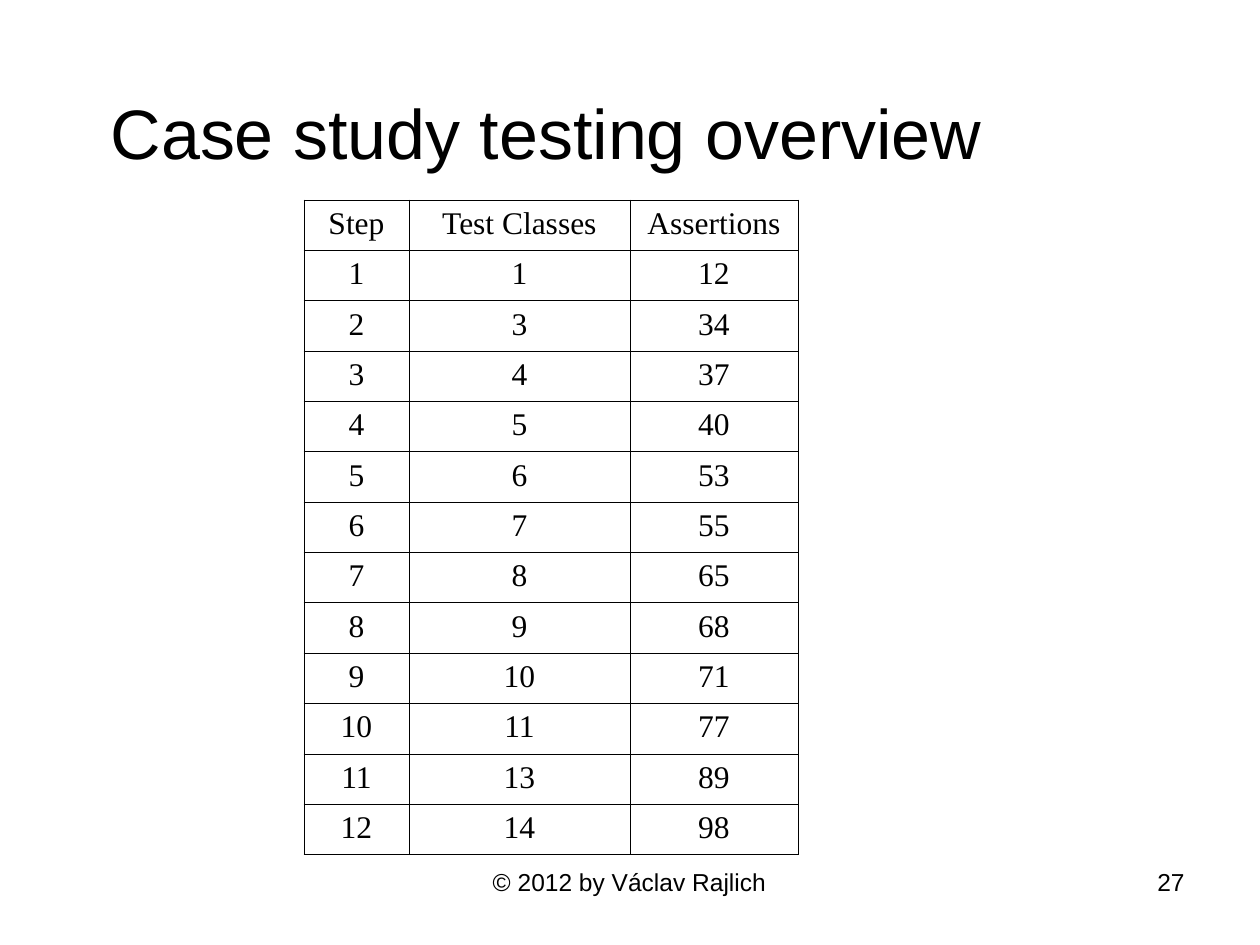
from lxml.etree import SubElement
from pptx import Presentation
from pptx.dml.color import RGBColor
from pptx.enum.shapes import MSO_SHAPE
from pptx.enum.text import MSO_ANCHOR, MSO_AUTO_SIZE, PP_ALIGN
from pptx.oxml.ns import qn
from pptx.util import Emu, Pt

COLORS = {"ink": "000000", "paper": "FFFFFF"}
SCALE = 914400 / 126
BORDER = Pt(0.45)
COLUMN_WIDTHS = (105, 221, 168)
HEADER = ("Step", "Test Classes", "Assertions")
TEST_CLASSES = (1, 3, 4, 5, 6, 7, 8, 9, 10, 11, 13, 14)
ASSERTIONS = (12, 34, 37, 40, 53, 55, 65, 68, 71, 77, 89, 98)


def px(length):
    """Turn pixels into EMU."""
    return Emu(round(length * SCALE))


def write(frame, text, size, align=PP_ALIGN.CENTER, face="Arial"):
    """Fill a text frame with one formatted paragraph."""
    paragraph = frame.paragraphs[0]
    paragraph.text = text
    paragraph.alignment = align
    paragraph.font.size = Pt(size)
    paragraph.font.name = face
    paragraph.font.color.rgb = RGBColor.from_string(COLORS["ink"])


def add_borders(cell):
    """Draw a thin line on all four sides of a cell."""
    properties = cell._tc.get_or_add_tcPr()
    for position, side in enumerate(("lnL", "lnR", "lnT", "lnB")):
        border = SubElement(properties, qn(f"a:{side}"), w=str(BORDER))
        properties.insert(position, border)
        fill = SubElement(border, qn("a:solidFill"))
        SubElement(fill, qn("a:srgbClr"), val=COLORS["ink"])


def place_backing(slide, left, top, width, height):
    """Put the plain template panel behind the title."""
    backing = slide.shapes.add_shape(
        MSO_SHAPE.RECTANGLE, px(left), px(top), px(width), px(height)
    )
    backing.shadow.inherit = False
    backing.fill.solid()
    for paint in (backing.fill.fore_color, backing.line.color):
        paint.rgb = RGBColor.from_string(COLORS["paper"])
    backing.line.width = Pt(0.75)
    slide.shapes.title.element.addprevious(backing.element)


def place_title(slide, left, top, width, height):
    """Set the slide title in its placeholder."""
    title = slide.shapes.title
    title.left, title.top, title.width, title.height = map(px, (left, top, width, height))
    title.text_frame.auto_size = MSO_AUTO_SIZE.NONE
    title.text_frame.vertical_anchor = MSO_ANCHOR.MIDDLE
    write(title.text_frame, "Case study testing overview", 40)


def place_overview(slide, left, top, height):
    """Build the table of test classes and assertions per step."""
    steps = range(1, len(TEST_CLASSES) + 1)
    records = [HEADER, *zip(steps, TEST_CLASSES, ASSERTIONS)]
    overview = slide.shapes.add_table(
        len(records), len(HEADER), px(left), px(top), px(sum(COLUMN_WIDTHS)), px(height)
    ).table
    overview.first_row = overview.horz_banding = False
    for column, width in zip(overview.columns, COLUMN_WIDTHS):
        column.width = px(width)
    for row, record in zip(overview.rows, records):
        row.height = px(height / len(records))
        for cell, value in zip(row.cells, record):
            write(cell.text_frame, str(value), 18, face="Times New Roman")
            cell.fill.background()
            add_borders(cell)


def place_footer(slide, left, top, width, height, text, align):
    """Add one footer text."""
    footer = slide.shapes.add_textbox(px(left), px(top), px(width), px(height))
    footer.text_frame.word_wrap = True
    write(footer.text_frame, text, 14, align)


def main():
    """Build and save the slide."""
    deck = Presentation()
    deck.slide_width, deck.slide_height = px(1260), px(945)
    slide = deck.slides.add_slide(deck.slide_layouts[5])
    place_backing(slide, 10, 95, 179, 84)
    place_title(slide, 63, 27, 966, 210)
    place_overview(slide, 304, 200, 655)
    place_footer(slide, 430, 861, 399, 66, "© 2012 by Václav Rajlich", PP_ALIGN.CENTER)
    place_footer(slide, 903, 861, 294, 66, "27", PP_ALIGN.RIGHT)
    deck.save("out.pptx")


if __name__ == "__main__":
    main()
